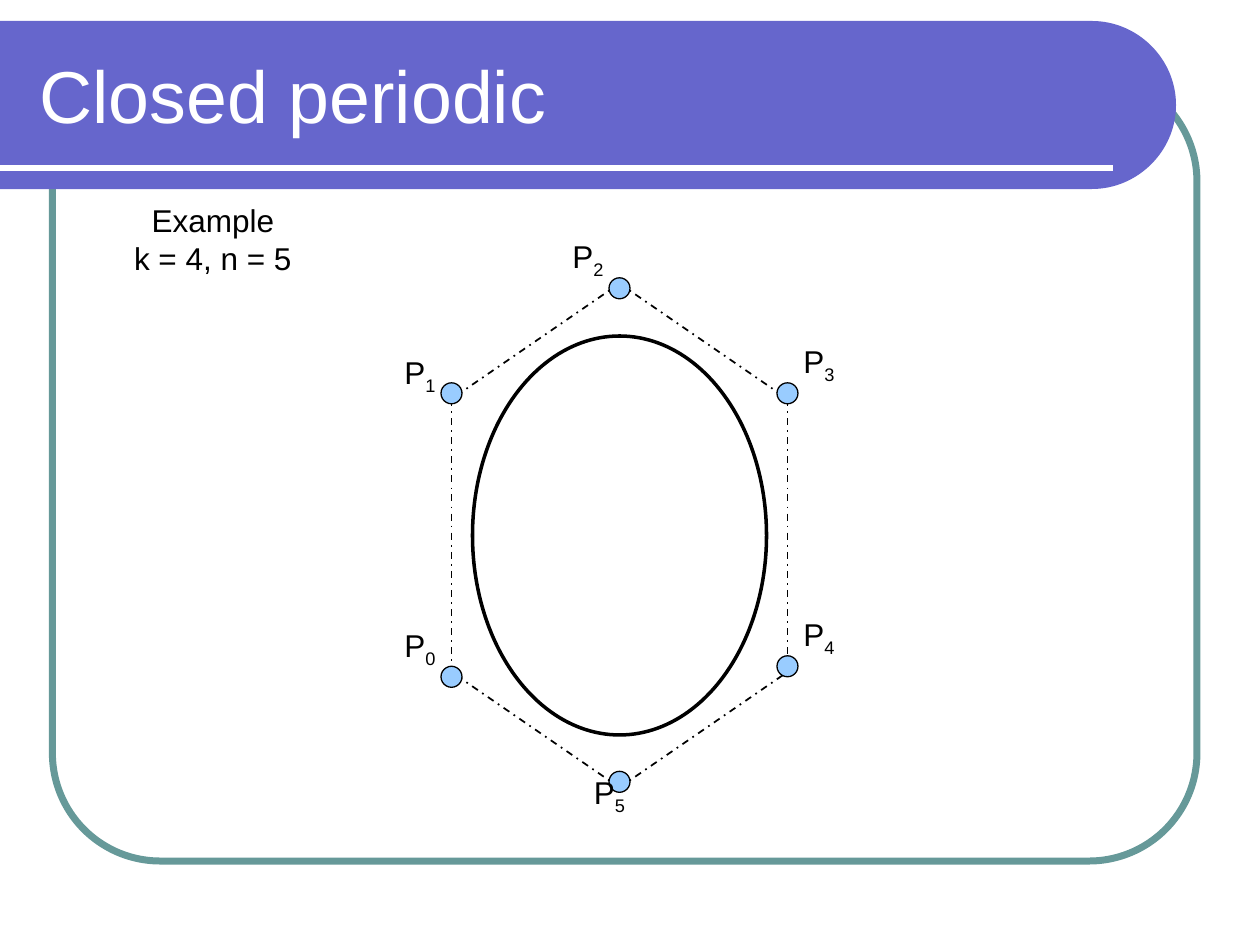
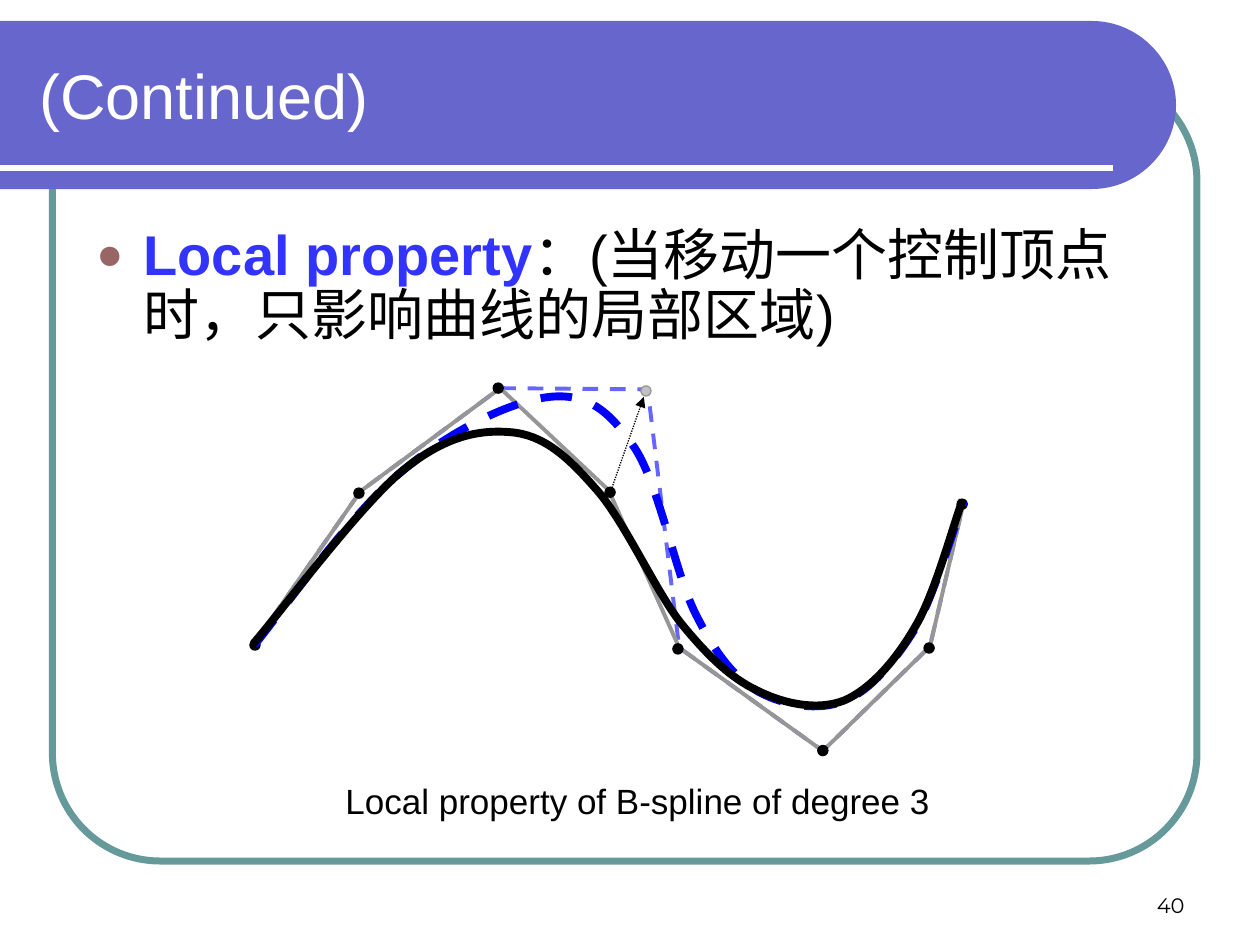
from dataclasses import dataclass
from typing import Optional

from lxml.etree import SubElement
from pptx import Presentation
from pptx.dml.color import RGBColor
from pptx.enum.dml import MSO_LINE as Dash
from pptx.enum.shapes import MSO_CONNECTOR, MSO_SHAPE
from pptx.enum.text import MSO_ANCHOR as Anchor, MSO_AUTO_SIZE as AutoSize, PP_ALIGN as Align
from pptx.oxml.ns import qn
from pptx.util import Pt

Point = tuple[float, float]
# One point is a straight step; two handles and an end are a cubic step.
Step = tuple[Point, ...]

BLACK = RGBColor(0x00, 0x00, 0x00)
WHITE = RGBColor(0xFF, 0xFF, 0xFF)
BAND = RGBColor(0x66, 0x66, 0xCC)
FRAME = RGBColor(0x66, 0x99, 0x99)
CONTROL_POINT = RGBColor(0x99, 0xCC, 0xFF)
TERM = RGBColor(0x33, 0x33, 0xFF)
BULLET = RGBColor(0x99, 0x66, 0x66)
MOVED_POLYGON = RGBColor(0x66, 0x66, 0xFF)
MOVED_CURVE = RGBColor(0x00, 0x00, 0xFF)
GREY = RGBColor(0x96, 0x96, 0x96)
LIGHT_GREY = RGBColor(0xC0, 0xC0, 0xC0)
FONT = "Arial"


@dataclass(frozen=True)
class Box:
    left: float
    top: float
    width: float
    height: float

    def lengths(self) -> tuple:
        return Pt(self.left), Pt(self.top), Pt(self.width), Pt(self.height)


@dataclass(frozen=True)
class Stroke:
    color: RGBColor
    width: float
    dash: Optional[Dash] = None


@dataclass(frozen=True)
class Style:
    size: float
    color: RGBColor = BLACK
    font: str = FONT
    align: Align = Align.LEFT
    anchor: Anchor = Anchor.TOP
    fit_box: bool = False


@dataclass(frozen=True)
class Vertex:
    """A control point with the top left corner of its label."""
    center: Point
    label: Point


THIN = Stroke(BLACK, 0.75)
LABEL = Style(18, align=Align.CENTER, fit_box=True)


# Drawing helpers
def apply_stroke(line, stroke: Stroke) -> None:
    line.color.rgb = stroke.color
    line.width = Pt(stroke.width)
    if stroke.dash:
        line.dash_style = stroke.dash


def paint(shape, stroke: Optional[Stroke], fill: Optional[RGBColor]) -> None:
    shape.shadow.inherit = False
    if fill is None:
        shape.fill.background()
    else:
        shape.fill.solid()
        shape.fill.fore_color.rgb = fill
    if stroke is None:
        shape.line.fill.background()
    else:
        apply_stroke(shape.line, stroke)


def add_preset(slide, kind: MSO_SHAPE, box: Box, stroke: Stroke,
               fill: Optional[RGBColor] = None):
    shape = slide.shapes.add_shape(kind, *box.lengths())
    paint(shape, stroke, fill)
    return shape


def add_dot(slide, center: Point, diameter: float, fill: RGBColor,
            stroke: Stroke = THIN) -> None:
    x, y = center
    box = Box(x - diameter / 2, y - diameter / 2, diameter, diameter)
    add_preset(slide, MSO_SHAPE.OVAL, box, stroke, fill)


def add_line(slide, start: Point, end: Point, stroke: Stroke, arrow: bool = False) -> None:
    ends = [Pt(value) for value in (*start, *end)]
    connector = slide.shapes.add_connector(MSO_CONNECTOR.STRAIGHT, *ends)
    apply_stroke(connector.line, stroke)
    if arrow:
        SubElement(connector.line._get_or_add_ln(), qn("a:tailEnd"), type="triangle")
    SubElement(connector._element.spPr, qn("a:effectLst"))


def add_outline(slide, start: Point, steps: list[Step], stroke: Optional[Stroke],
                fill: Optional[RGBColor] = None) -> None:
    """Draw straight and cubic steps; a filled outline is closed."""
    builder = slide.shapes.build_freeform(Pt(start[0]), Pt(start[1]))
    builder.add_line_segments([(Pt(x), Pt(y)) for step in steps for x, y in step],
                              close=fill is not None)
    shape = builder.convert_to_shape()
    segments = iter(list(shape._element.iter(qn("a:lnTo"))))
    for step in steps:
        first, *others = [next(segments) for _ in step]
        if others:
            first.tag = qn("a:cubicBezTo")
            for other in others:
                first.append(other[0])
                other.getparent().remove(other)
    paint(shape, stroke, fill)


def add_polyline(slide, points: list[Point], stroke: Stroke) -> None:
    add_outline(slide, points[0], [(point,) for point in points[1:]], stroke)


def format_run(run, style: Style) -> None:
    run.font.name = style.font
    run.font.size = Pt(style.size)
    run.font.color.rgb = style.color


def add_text(slide, box: Box, lines: list[str], style: Style):
    frame = slide.shapes.add_textbox(*box.lengths()).text_frame
    frame.word_wrap = not style.fit_box
    frame.auto_size = AutoSize.SHAPE_TO_FIT_TEXT if style.fit_box else AutoSize.NONE
    frame.vertical_anchor = style.anchor
    frame.text = "\n".join(lines)
    for paragraph in frame.paragraphs:
        paragraph.alignment = style.align
        for run in paragraph.runs:
            format_run(run, style)
    return frame


BAND_STEPS = [
    ((624, 12),),
    ((650, 12), (672, 33.5), (672, 60)),
    ((672, 86.5), (650, 108), (624, 108)),
    ((0, 108),),
]


def add_framed_slide(deck, title: str, title_size: float):
    """Add a blank slide with the rounded frame, the band and the title."""
    slide = deck.slides.add_slide(deck.slide_layouts[6])
    frame = add_preset(slide, MSO_SHAPE.ROUNDED_RECTANGLE, Box(30, 42, 654, 450),
                       Stroke(FRAME, 4))
    frame.adjustments[0] = 0.137
    add_outline(slide, (0, 12), BAND_STEPS, None, BAND)
    add_line(slide, (0, 96), (636, 96), Stroke(WHITE, 3))
    add_text(slide, Box(15.5, 18, 631, 72), [title],
             Style(title_size, WHITE, anchor=Anchor.MIDDLE))
    return slide


# Closed periodic curve
VERTICES = [
    Vertex((258, 386.75), (222, 354)),
    Vertex((258, 224.75), (222, 198)),
    Vertex((354, 164.75), (318, 132)),
    Vertex((450, 224.75), (450, 192)),
    Vertex((450, 380.75), (450, 348)),
    Vertex((354, 446.75), (330.25, 438)),
]
TOP, BOTTOM = (354, 162), (354, 450)
UPPER_LEFT, UPPER_RIGHT = (258, 228), (450, 228)
LOWER_LEFT, LOWER_RIGHT = (258, 384), (450, 384)
HEXAGON_SIDES = [
    (TOP, UPPER_RIGHT), (TOP, UPPER_LEFT),
    (BOTTOM, LOWER_RIGHT), (BOTTOM, LOWER_LEFT),
    (UPPER_LEFT, LOWER_LEFT), (UPPER_RIGHT, LOWER_RIGHT),
]


def build_closed_periodic(deck) -> None:
    slide = add_framed_slide(deck, "Closed periodic", 42)
    add_preset(slide, MSO_SHAPE.OVAL, Box(270, 192, 168, 228), Stroke(BLACK, 2))
    for start, end in HEXAGON_SIDES:
        add_line(slide, start, end, Stroke(BLACK, 1, Dash.DASH_DOT))
    for index, vertex in enumerate(VERTICES):
        add_dot(slide, vertex.center, 12, CONTROL_POINT)
        label = add_text(slide, Box(*vertex.label, 36, 36), ["P"], LABEL)
        subscript = label.paragraphs[0].add_run()
        subscript.text = str(index)
        format_run(subscript, LABEL)
        subscript.font._element.set("baseline", "-25000")
    add_text(slide, Box(59, 111.5, 125.25, 65), ["Example", "k = 4, n = 5"], LABEL)


# Local property of a B-spline
POLYGON = [(146.2, 366.5), (205.9, 280.8), (285.8, 221.8), (347.8, 280.1),
           (388.1, 370.1), (470.2, 429.1), (531.4, 369.4), (550.8, 286.6)]
MOVED_INDEX, MOVED_VERTEX = 3, (370.1, 222.5)
MOVED_DOT = (369.1, 223.4)
DOTS = [(145.7, 368.6), (205.1, 281.8), (284.7, 221.8), (348.6, 281.3),
        (387.4, 370.8), (470.2, 428.9), (530.9, 370.3), (549.8, 288.1)]
DOT_SIZE = 5.8
MOVED_START = (145.4, 368.6)
MOVED_STEPS = [
    ((159.1, 352.1), (200.9, 293), (229, 270)),
    ((257, 246.2), (292.3, 229), (314.6, 226.8)),
    ((337, 224.6), (349.2, 236.2), (362.9, 256.3)),
    ((376.6, 277.2), (385.9, 327.6), (397.4, 350.6)),
    ((409, 373.7), (419, 386.6), (433.4, 395.3)),
    ((447.8, 403.2), (468, 406.8), (483.1, 400.3)),
    ((497.5, 394.6), (511.9, 377.3), (523.4, 358.6)),
    ((534.2, 339.1), (545, 301.7), (550.8, 286.6)),
]
CURVE_START = (144.7, 367.9)
CURVE_STEPS = [
    ((159.1, 351.4), (205.2, 289.4), (229.7, 269.3)),
    ((254.2, 249.1), (273.6, 245.5), (291.6, 247)),
    ((310.3, 248.4), (324, 260.6), (339.8, 278.6)),
    ((356.4, 296.6), (373.7, 336.2), (388.8, 355.7)),
    ((404.6, 375.1), (417.6, 387.4), (432.7, 394.6)),
    ((448.6, 402.5), (467.3, 406.1), (482.4, 400.3)),
    ((497.5, 393.8), (511.9, 377.3), (522.7, 358.6)),
    ((534.2, 339.8), (544.3, 301), (550.1, 285.8)),
]


def add_statement(slide) -> None:
    """Add the bulleted statement with its leading term in bold."""
    style = Style(32)
    frame = add_text(slide, Box(48, 126, 624, 348), ["Local property"], style)
    statement = frame.paragraphs[0]
    properties = statement._p.get_or_add_pPr()
    properties.set("marL", str(Pt(27)))
    properties.set("indent", str(Pt(-27)))
    bullet_color = SubElement(properties, qn("a:buClr"))
    SubElement(bullet_color, qn("a:srgbClr"), val=str(BULLET))
    SubElement(properties, qn("a:buSzPct"), val="80000")
    SubElement(properties, qn("a:buFont"), typeface=FONT)
    SubElement(properties, qn("a:buChar"), char="●")
    statement.line_spacing = 0.9
    term = statement.runs[0]
    term.font.bold = True
    term.font.color.rgb = TERM
    explanation = statement.add_run()
    explanation.text = "：(当移动一个控制顶点时，只影响曲线的局部区域)"
    format_run(explanation, style)


def build_local_property(deck) -> None:
    slide = add_framed_slide(deck, "(Continued)", 36)
    add_text(slide, Box(516, 492, 168, 36), ["40"],
             Style(12, font="Montserrat", align=Align.RIGHT, anchor=Anchor.BOTTOM))
    add_statement(slide)
    add_text(slide, Box(140.5, 439, 448, 36.5), ["Local property of B-spline of degree 3"],
             Style(20, align=Align.CENTER, anchor=Anchor.MIDDLE))

    # Control polygons, after and before the move
    moved_polygon = list(POLYGON)
    moved_polygon[MOVED_INDEX] = MOVED_VERTEX
    add_polyline(slide, moved_polygon, Stroke(MOVED_POLYGON, 2.25, Dash.DASH))
    add_polyline(slide, POLYGON, Stroke(GREY, 2.25))
    add_line(slide, (349.2, 280.1), (367.9, 226.8),
             Stroke(BLACK, 0.75, Dash.ROUND_DOT), arrow=True)
    add_dot(slide, MOVED_DOT, DOT_SIZE, LIGHT_GREY, Stroke(GREY, 0.75))
    for center in DOTS:
        add_dot(slide, center, DOT_SIZE, BLACK)

    # Curves, after and before the move
    add_outline(slide, MOVED_START, MOVED_STEPS, Stroke(MOVED_CURVE, 4.5, Dash.DASH))
    add_outline(slide, CURVE_START, CURVE_STEPS, Stroke(BLACK, 4.5))


def main() -> None:
    deck = Presentation()
    deck.slide_width, deck.slide_height = Pt(720), Pt(540)
    build_closed_periodic(deck)
    build_local_property(deck)
    deck.save("out.pptx")


if __name__ == "__main__":
    main()
